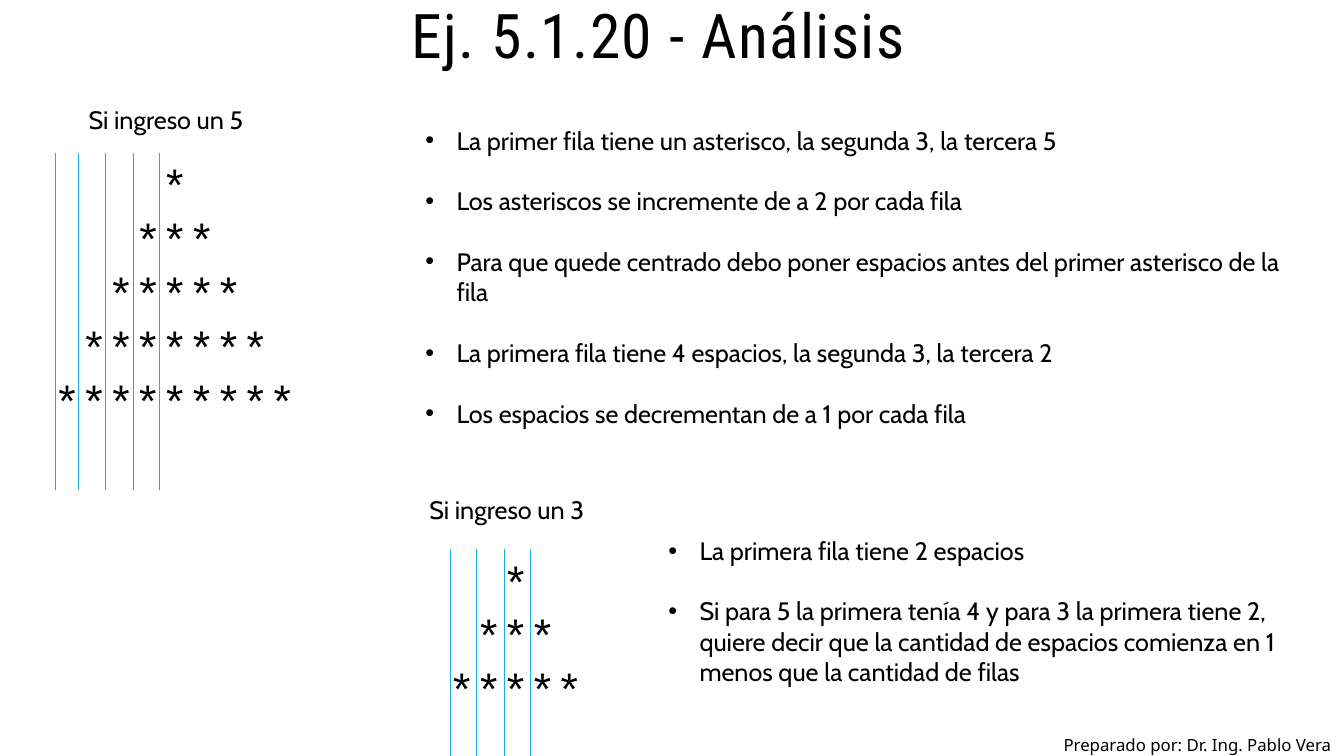
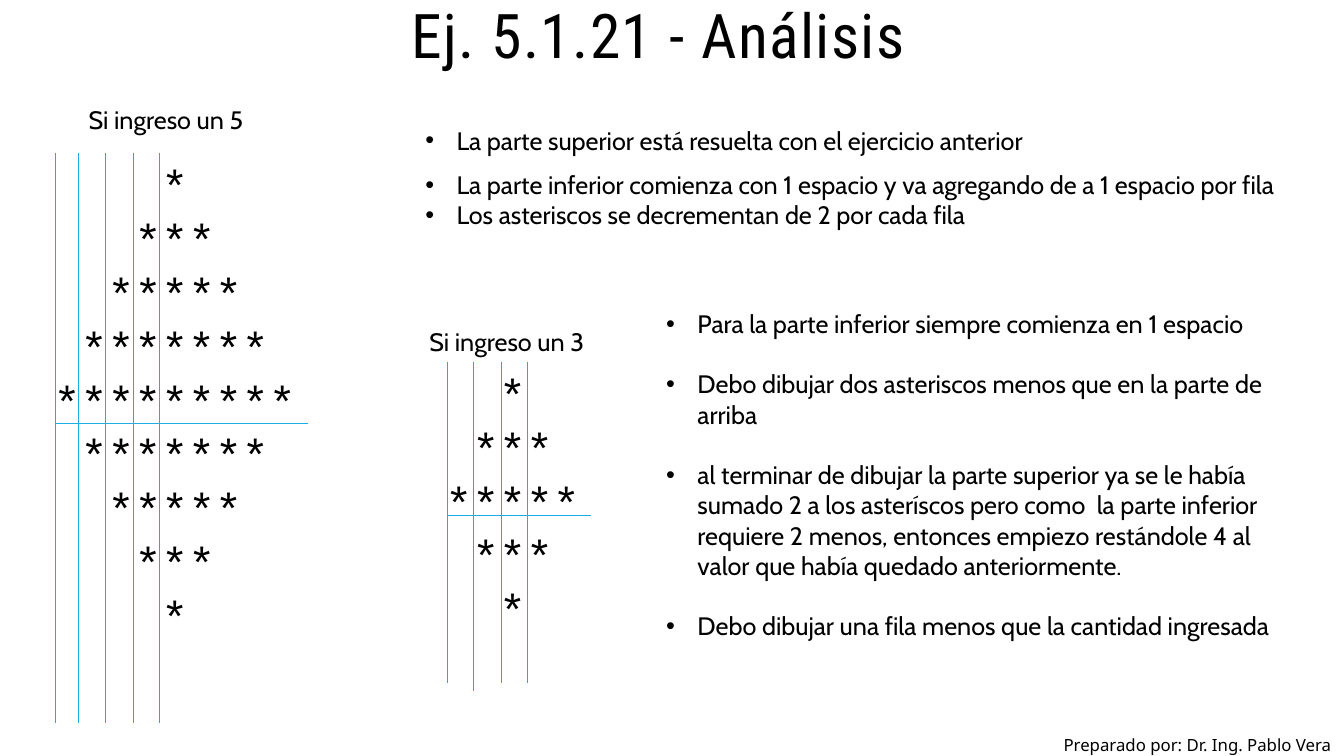
from dataclasses import dataclass

from lxml.etree import SubElement
from pptx import Presentation
from pptx.dml.color import RGBColor as RGB
from pptx.enum.shapes import MSO_CONNECTOR as CONN
from pptx.enum.text import MSO_ANCHOR as ANCHOR, MSO_AUTO_SIZE as AUTO, PP_ALIGN as ALIGN
from pptx.oxml.ns import qn
from pptx.util import Emu, Pt

PX = 9144
ROW, COL = 54, 27
GUIDE_OFFSETS = {5: (0, 23, 50, 77, 103), 3: (0, 26, 53, 79)}


def px(n):
    """Turn px into EMU, at 100 px to the inch."""
    return Emu(n * PX)


@dataclass(frozen=True)
class Theme:
    """Colours, fonts and type sizes of the presentation."""
    ink: RGB = RGB.from_string("000000")
    guide: RGB = RGB.from_string("1CADE4")
    title: tuple = ("Roboto Condensed", 44)
    body: tuple = ("Cabin", 18)
    stars: tuple = ("Courier New", 32)
    footer: tuple = ("Noto Sans", 12)
    guide_width: float = 0.75
    bullet_gap: float = 21.6


class Deck:
    """Draws styled elements on the current slide."""

    def __init__(self, theme):
        """Start an empty presentation."""
        self.theme = theme
        self.prs = Presentation()
        self.prs.slide_width, self.prs.slide_height = px(1333), px(750)
        self.s = None

    def slide(self, title):
        """Add a slide with its title and footer."""
        self.s = self.prs.slides.add_slide(self.prs.slide_layouts[6])
        self.title(title)
        self.text(1045, 724, 293, 30, ["Preparado por: Dr. Ing. Pablo Vera"], self.theme.footer)

    def text(self, x, y, w, h, lines, style, align=ALIGN.LEFT, wrap=False):
        """Add a text box with one paragraph per line."""
        tf = self.s.shapes.add_textbox(px(x), px(y), px(w), px(h)).text_frame
        tf.word_wrap = wrap
        tf.auto_size = AUTO.SHAPE_TO_FIT_TEXT
        tf.text = "\n".join(lines)
        for p in tf.paragraphs:
            p.alignment = align
            for r in p.runs:
                r.font.name, r.font.size = style[0], Pt(style[1])
                r.font.color.rgb = self.theme.ink
        return tf

    def title(self, title):
        """Add the centred, letter-spaced title."""
        tf = self.text(78, 0, 1150, 80, [title], self.theme.title, ALIGN.CENTER, True)
        tf.auto_size = AUTO.NONE
        tf.vertical_anchor = ANCHOR.MIDDLE
        p = tf.paragraphs[0]
        p.line_spacing = 0.8
        p.runs[0].font._element.set("spc", "100")

    def caption(self, x, y, n):
        """Add the heading of a figure for input n."""
        self.text(x, y, 192, 40, [f"Si ingreso un {n}"], self.theme.body)

    def bullets(self, x, y, w, h, lines, spaced=True):
        """Add a bulleted list, with a gap between items when spaced."""
        tf = self.text(x, y, w, h, lines, self.theme.body, wrap=True)
        for i, p in enumerate(tf.paragraphs):
            if spaced and i:
                p.space_before = Pt(self.theme.bullet_gap)
            pPr = p._p.get_or_add_pPr()
            pPr.set("marL", str(px(31)))
            pPr.set("indent", str(px(-31)))
            SubElement(pPr, qn("a:buFont")).set("typeface", "Arial")
            SubElement(pPr, qn("a:buChar")).set("char", "•")

    def line(self, x1, y1, x2, y2):
        """Add a thin guide line."""
        c = self.s.shapes.add_connector(CONN.STRAIGHT, px(x1), px(y1), px(x2), px(y2))
        c.line.color.rgb = self.theme.guide
        c.line.width = Pt(self.theme.guide_width)
        SubElement(c._element.spPr, qn("a:effectLst"))

    def figure(self, x, y, n, bottoms, divider=None):
        """Add a star triangle with column guides, mirrored below a divider."""
        rows = ["*" * (2 * i + 1) for i in range(n)]
        if divider:
            rows += rows[-2::-1]
        left, w = x - 13, (2 * n - 1) * COL + 20
        self.text(left, y, w, len(rows) * ROW + 9, rows, self.theme.stars, ALIGN.CENTER)
        for offset, bottom in zip(GUIDE_OFFSETS[n], bottoms):
            self.line(x + offset, y, x + offset, bottom)
        if divider:
            self.line(x, divider, left + w, divider)


def triangle_slide(deck):
    """Build the analysis of the triangle."""
    deck.slide("Ej. 5.1.20 - Análisis")
    deck.caption(78, 99, 5)
    deck.figure(55, 152, 5, [486] * 5)
    deck.bullets(412, 119, 880, 192, [
        "La primer fila tiene un asterisco, la segunda 3, la tercera 5",
        "Los asteriscos se incremente de a 2 por cada fila",
        "Para que quede centrado debo poner espacios antes del primer asterisco de la fila",
    ])
    deck.bullets(412, 330, 880, 131, [
        "La primera fila tiene 4 espacios, la segunda 3, la tercera 2",
        "Los espacios se decrementan de a 1 por cada fila",
    ])
    deck.caption(416, 486, 3)
    deck.figure(447, 545, 3, [750] * 4)
    deck.bullets(653, 526, 627, 192, [
        "La primera fila tiene 2 espacios",
        "Si para 5 la primera tenía 4 y para 3 la primera tiene 2, quiere decir que "
        "la cantidad de espacios comienza en 1 menos que la cantidad de filas",
    ])


def diamond_slide(deck):
    """Build the analysis of the diamond."""
    deck.slide("Ej. 5.1.21 - Análisis")
    deck.caption(78, 99, 5)
    deck.figure(55, 152, 5, [717] * 5, divider=420)
    deck.bullets(412, 119, 880, 71, ["La parte superior está resuelta con el ejercicio anterior"])
    deck.bullets(412, 163, 880, 131, [
        "La parte inferior comienza con 1 espacio y va agregando de a 1 espacio por fila",
        "Los asteriscos se decrementan de 2 por cada fila",
    ], spaced=False)
    deck.caption(416, 319, 3)
    deck.figure(444, 359, 3, [678, 686, 678, 678], divider=511)
    deck.bullets(651, 301, 627, 434, [
        "Para la parte inferior siempre comienza en 1 espacio",
        "Debo dibujar dos asteriscos menos que en la parte de arriba",
        "al terminar de dibujar la parte superior ya se le había sumado 2 a los asteríscos "
        "pero como  la parte inferior requiere 2 menos, entonces empiezo restándole 4 al "
        "valor que había quedado anteriormente.",
        "Debo dibujar una fila menos que la cantidad ingresada",
    ])


def main():
    """Build both slides and save them."""
    deck = Deck(Theme())
    triangle_slide(deck)
    diamond_slide(deck)
    deck.prs.save("out.pptx")


if __name__ == "__main__":
    main()
